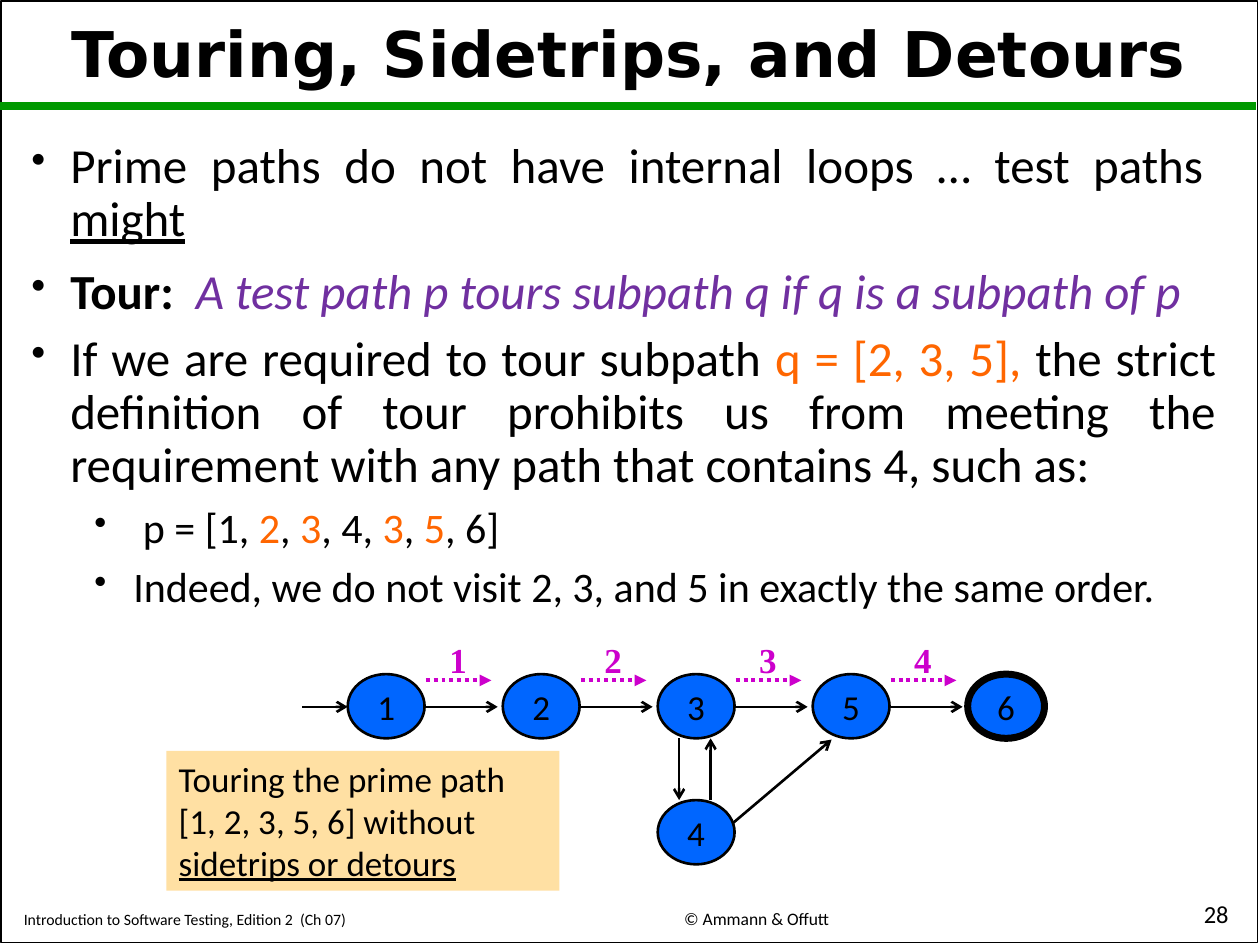
from lxml.etree import SubElement
from pptx import Presentation
from pptx.dml.color import RGBColor
from pptx.enum.dml import MSO_LINE
from pptx.enum.shapes import MSO_CONNECTOR, MSO_SHAPE
from pptx.enum.text import MSO_ANCHOR, PP_ALIGN
from pptx.oxml.ns import qn
from pptx.util import Inches, Pt

COLUMNS, ROWS = 100, 75  # grid cells across and down the slide
BLACK, GREEN, BLUE, SAND = "000000", "009900", "0066FF", "FFE0A3"
PURPLE, ORANGE, MAGENTA = "7030A0", "FF6600", "CC00CC"


def color(hex_value):
    return RGBColor.from_string(hex_value)


def add_bullet(paragraph, level):
    paragraph.level = level
    properties = paragraph._p.get_or_add_pPr()
    properties.set("marL", str(Inches(0.31 + 0.5 * level)))
    properties.set("indent", str(Inches(-0.31)))
    SubElement(properties, qn("a:buSzPct"), val="85000")
    SubElement(properties, qn("a:buChar"), char="•")


def write(frame, text, size=28, font="Calibri", ink=BLACK, bold=False,
          align=PP_ALIGN.LEFT, spacing=None, before=0, levels=None):
    """Text is a list of paragraphs; each is a list of (words, run format)."""
    if isinstance(text, str):
        text = [[(text, {})]]
    for index, runs in enumerate(text):
        paragraph = frame.paragraphs[0] if index == 0 else frame.add_paragraph()
        level = levels[index] if levels else 0
        if levels:
            add_bullet(paragraph, level)
        paragraph.alignment = align
        if spacing:
            paragraph.line_spacing = spacing
        if index and before:
            paragraph.space_before = Pt(before)
        for words, style in runs:
            run = paragraph.add_run()
            run.text = words
            run.font.name = font
            run.font.size = Pt(size - 4 * level)
            run.font.bold = style.get("bold", bold)
            run.font.italic = style.get("italic", False)
            run.font.underline = style.get("underline", False)
            run.font.color.rgb = color(style.get("ink", ink))


class Sheet:
    """Holds the current slide and its grid."""

    def __init__(self, deck):
        self.slide = deck.slides.add_slide(deck.slide_layouts[6])
        self.cell_width = deck.slide_width / COLUMNS
        self.cell_height = deck.slide_height / ROWS

    def place(self, left, top, width, height):
        return (round(left * self.cell_width), round(top * self.cell_height),
                round(width * self.cell_width), round(height * self.cell_height))

    def text(self, area, text, anchor=MSO_ANCHOR.TOP, wrap=True, **style):
        frame = self.slide.shapes.add_textbox(*self.place(*area)).text_frame
        frame.word_wrap = wrap
        frame.vertical_anchor = anchor
        write(frame, text, **style)

    def shape(self, kind, area, fill=None, outline=None, weight=1):
        shape = self.slide.shapes.add_shape(kind, *self.place(*area))
        shape.shadow.inherit = False
        if fill:
            shape.fill.solid()
            shape.fill.fore_color.rgb = color(fill)
        else:
            shape.fill.background()
        if outline:
            shape.line.color.rgb = color(outline)
            shape.line.width = Pt(weight)
        else:
            shape.line.fill.background()
        return shape

    def node(self, left, top, label, weight=1.5):
        ellipse = self.shape(MSO_SHAPE.OVAL, (left, top, 6.1, 5.1), BLUE, BLACK, weight)
        frame = ellipse.text_frame
        frame.word_wrap = False
        frame.margin_left = frame.margin_right = 0
        frame.margin_top = frame.margin_bottom = 0
        frame.vertical_anchor = MSO_ANCHOR.MIDDLE
        write(frame, label, size=20, align=PP_ALIGN.CENTER)

    def line(self, start, end, ink=BLACK, weight=1.5, tip="arrow", dash=None):
        line = self.slide.shapes.add_connector(
            MSO_CONNECTOR.STRAIGHT, *self.place(*start, *end))
        line.line.color.rgb = color(ink)
        line.line.width = Pt(weight)
        if dash:
            line.line.dash_style = dash
        if tip:
            SubElement(line.line._get_or_add_ln(), qn("a:tailEnd"), type=tip)
        SubElement(line._element.spPr, qn("a:effectLst"))


def add_frame_and_footer(sheet):
    sheet.shape(MSO_SHAPE.RECTANGLE, (0.1, 0.1, 99.7, 74.7), outline=BLACK)
    sheet.line((0, 8.4), (99.7, 8.4), GREEN, 4.5, tip=None)
    footers = [
        ((0.9, 71.2, 41.2, 3), "Introduction to Software Testing, Edition 2  (Ch 07)", 9, PP_ALIGN.LEFT),
        ((44.2, 71.1, 31.7, 3.1), "© Ammann & Offutt", 10, PP_ALIGN.CENTER),
        ((78.9, 71, 19.6, 3.2), "28", 14, PP_ALIGN.RIGHT),
    ]
    for area, words, size, align in footers:
        sheet.text(area, words, anchor=MSO_ANCHOR.BOTTOM, size=size, align=align)


def add_body(sheet):
    orange = {"ink": ORANGE}
    style = {"align": PP_ALIGN.JUSTIFY, "spacing": 0.9, "before": 8}
    sheet.text((0.9, 1.1, 98, 6.9), "Touring, Sidetrips, and Detours",
               anchor=MSO_ANCHOR.MIDDLE, size=36, font="DejaVu Sans", bold=True,
               align=PP_ALIGN.CENTER, spacing=0.9)
    sheet.text((1.5, 10.7, 95, 11.4), [
        [("Prime paths do not have internal loops … test paths ", {}),
         ("might", {"underline": True})],
    ], levels=[0], **style)
    sheet.text((1.5, 20.7, 96, 49.1), [
        [("Tour:  ", {"bold": True}),
         ("A test path p tours subpath q if q is a subpath of p",
          {"ink": PURPLE, "italic": True})],
        [("If we are required to tour subpath ", {}), ("q = [2, 3, 5],", orange),
         (" the strict definition of tour prohibits us from meeting the "
          "requirement with any path that contains 4, such as:", {})],
        [(" p = [1, ", {}), ("2", orange), (", ", {}), ("3", orange), (", 4, ", {}),
         ("3", orange), (", ", {}), ("5", orange), (", 6]", {})],
        [("Indeed, we do not visit 2, 3, and 5 in exactly the same order.", {})],
    ], levels=[0, 0, 1, 1], **style)


def add_graph(sheet):
    first, pitch, top, middle = 27.6, 12.3, 53.5, 56.1
    path = "12356"

    # Nodes; the final one has a heavy outline
    for index, label in enumerate(path):
        sheet.node(first + index * pitch, top, label, 4 if label == "6" else 1.5)
    sheet.node(first + 2 * pitch, top + 10, "4")

    # Entry arrow, then each edge of the path with its numbered tour step
    sheet.line((24, middle), (first, middle))
    for step in range(1, len(path)):
        left = first + (step - 1) * pitch
        sheet.line((left + 6.1, middle), (left + 11.9, middle))
        sheet.line((left + 6.2, 54), (left + 11.4, 54), MAGENTA, 2.25,
                   "triangle", MSO_LINE.ROUND_DOT)
        sheet.text((left + 6.8, 50.2, 3.9, 4.3), str(step), size=20,
                   font="Times New Roman", ink=MAGENTA, bold=True,
                   align=PP_ALIGN.CENTER)

    # Edges to and from node 4
    sheet.line((53.9, 58.6), (53.9, 63.5))
    sheet.line((56.4, 63.5), (56.4, 58.6))
    sheet.line((58.2, 65.3), (66, 58.7))


def add_callout(sheet):
    area = (13.2, 59.6, 31.2, 11.1)
    sheet.shape(MSO_SHAPE.RECTANGLE, area, SAND)
    sheet.text(area, [[("Touring the prime path [1, 2, 3, 5, 6] without ", {}),
                       ("sidetrips or detours", {"underline": True})]], size=20)


def main():
    deck = Presentation()
    deck.slide_width, deck.slide_height = Inches(10), Inches(7.5)
    sheet = Sheet(deck)
    add_frame_and_footer(sheet)
    add_body(sheet)
    add_graph(sheet)
    add_callout(sheet)
    deck.save("out.pptx")


if __name__ == "__main__":
    main()
